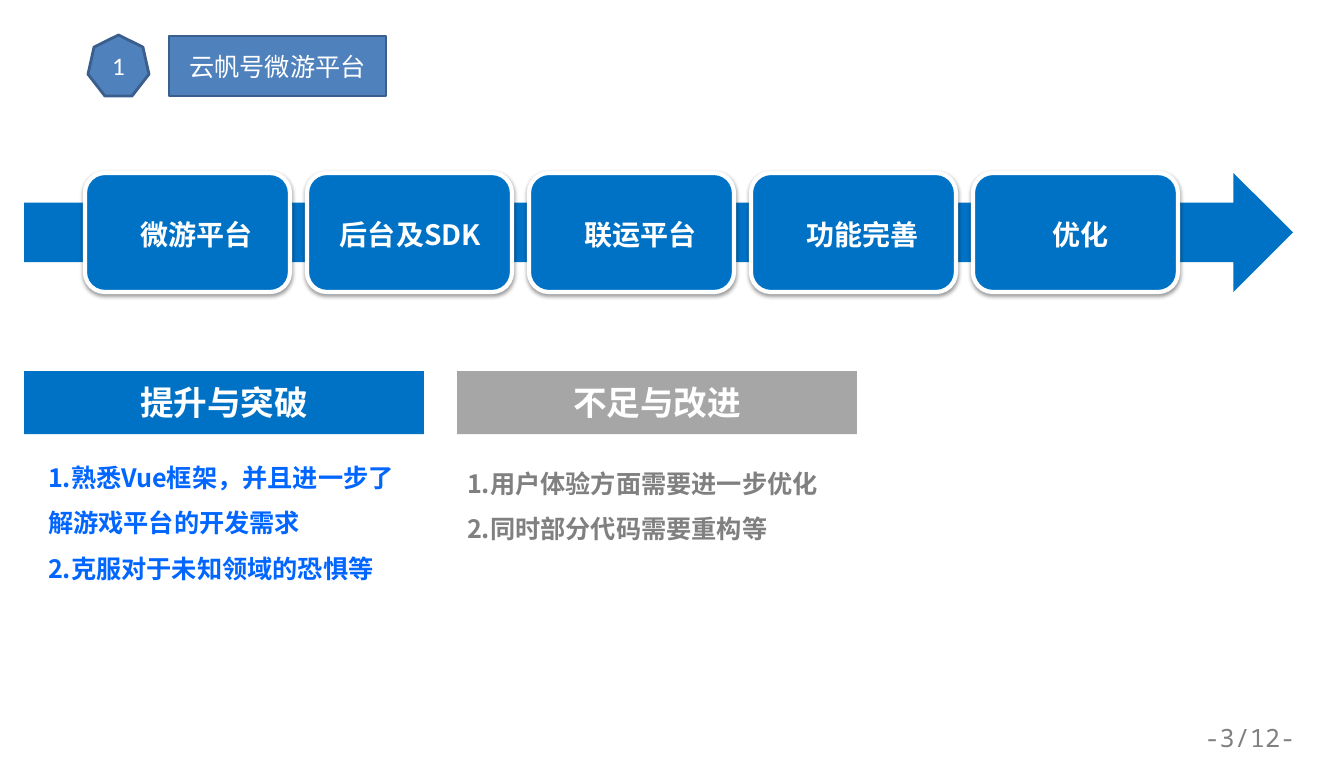
"""Build the platform progress slide: a step arrow above two summary columns."""
from lxml.etree import SubElement
from pptx import Presentation
from pptx.dml.color import RGBColor
from pptx.enum.shapes import MSO_SHAPE as Shape
from pptx.enum.text import MSO_ANCHOR as Anchor, MSO_AUTO_SIZE as AutoSize, PP_ALIGN as Align
from pptx.oxml.ns import qn
from pptx.util import Pt

COLORS = {
    "blue": "0072C6", "gray": "A6A6A6", "steel": "4F81BD", "steel_line": "3A5F8C",
    "white": "FFFFFF", "blue_text": "0066FF", "gray_text": "808080", "shadow": "000000",
}
SANS, CJK, MONO = "Calibri", "Noto Sans CJK SC", "Noto Sans Mono"
PX = 914400 / 100.8

NUMBER = "1"
TITLE = "云帆号微游平台"
PAGE_NUMBER = "-3/12-"
STEPS = [
    ("微游平台", 124, 145),
    ("后台及SDK", 317, 187),
    ("联运平台", 568, 145),
    ("功能完善", 790, 145),
    ("优化", 1008, 145),
]
COLUMNS = [
    {"heading": "提升与突破", "left": 24, "fill": "blue", "ink": "blue_text",
     "body": (38, 442, 372, 142),
     "lines": ["1.熟悉Vue框架，并且进一步了解游戏平台的开发需求", "2.克服对于未知领域的恐惧等"]},
    {"heading": "不足与改进", "left": 457, "fill": "gray", "ink": "gray_text",
     "body": (457, 448, 400, 97),
     "lines": ["1.用户体验方面需要进一步优化", "2.同时部分代码需要重构等"]},
]
STEP_LEFT, STEP_TOP, STEP_WIDTH, STEP_HEIGHT, STEP_PITCH = 85, 173, 205, 119, 222


def emu(*lengths):
    return [round(length * PX) for length in lengths]


def rgb(name):
    return RGBColor.from_string(COLORS[name])


def place(box, left, top, width, height):
    box.left, box.top, box.width, box.height = emu(left, top, width, height)


def paint(box, fill, line=None, points=0):
    box.fill.solid()
    box.fill.fore_color.rgb = rgb(fill)
    if line:
        box.line.color.rgb = rgb(line)
        box.line.width = Pt(points)
    else:
        box.line.fill.background()


def add_shape(page, kind, bounds, fill, line=None, points=0):
    box = page.shapes.add_shape(kind, *emu(*bounds))
    box.shadow.inherit = False
    paint(box, fill, line, points)
    return box


def write(box, lines, size, color, font=SANS, bold=False,
          align=Align.CENTER, anchor=Anchor.MIDDLE, spacing=1.0):
    frame = box.text_frame
    frame.text = "\n".join(lines)
    frame.word_wrap = True
    frame.auto_size = AutoSize.NONE
    frame.vertical_anchor = anchor
    for para in frame.paragraphs:
        properties = para._p.get_or_add_pPr()
        properties.set("marL", "0")
        properties.set("indent", "0")
        SubElement(properties, qn("a:buNone"))
        para.alignment = align
        para.line_spacing = spacing
        para.space_before = Pt(0)
        para.font.size = Pt(size)
        para.font.bold = bold
        para.font.name = font
        para.font.color.rgb = rgb(color)
        SubElement(properties.find(qn("a:defRPr")), qn("a:ea"), typeface=CJK)


def add_label(page, text, bounds, size, color, font, bold=False):
    box = page.shapes.add_textbox(*emu(*bounds))
    write(box, [text], size, color, font, bold, anchor=Anchor.TOP)


def drop_shadow(box):
    effects = box._element.spPr.find(qn("a:effectLst"))
    shadow = SubElement(effects, qn("a:outerShdw"), blurRad=str(Pt(3.1)),
                        dist=str(Pt(1.6)), dir="5400000", rotWithShape="0")
    tint = SubElement(shadow, qn("a:srgbClr"), val=COLORS["shadow"])
    SubElement(tint, qn("a:alpha"), val="38000")


def add_header(page):
    badge = add_shape(page, Shape.HEPTAGON, (88, 35, 61, 61), "steel", "steel_line", 2)
    write(badge, [NUMBER], 18, "white")
    title = page.shapes.title
    place(title, 169, 36, 217, 60)
    paint(title, "steel", "steel_line", 2)
    write(title, [TITLE], 18, "white")


def add_steps(page):
    add_shape(page, Shape.RIGHT_ARROW, (24, STEP_TOP, 1269, STEP_HEIGHT), "blue")
    for index, (text, left, width) in enumerate(STEPS):
        bounds = (STEP_LEFT + index * STEP_PITCH, STEP_TOP, STEP_WIDTH, STEP_HEIGHT)
        drop_shadow(add_shape(page, Shape.ROUNDED_RECTANGLE, bounds, "blue", "white", 3))
        add_label(page, text, (left, 213, width, 44), 20, "white", CJK, True)


def add_columns(page):
    for index, column in enumerate(COLUMNS):
        heading = page.placeholders[1 + 2 * index]
        body = page.placeholders[2 + 2 * index]
        place(heading, column["left"], 371, 400, 63)
        paint(heading, column["fill"])
        write(heading, [column["heading"]], 24, "white", bold=True)
        place(body, *column["body"])
        write(body, column["lines"], 18, column["ink"], CJK, True, Align.LEFT, Anchor.TOP, 1.5)


def main():
    deck = Presentation()
    deck.slide_width, deck.slide_height = emu(1344, 758)
    page = deck.slides.add_slide(deck.slide_layouts.get_by_name("Comparison"))
    add_header(page)
    add_steps(page)
    add_columns(page)
    add_label(page, PAGE_NUMBER, (1155, 717, 190, 40), 18, "gray_text", MONO)
    deck.save("out.pptx")


if __name__ == "__main__":
    main()
